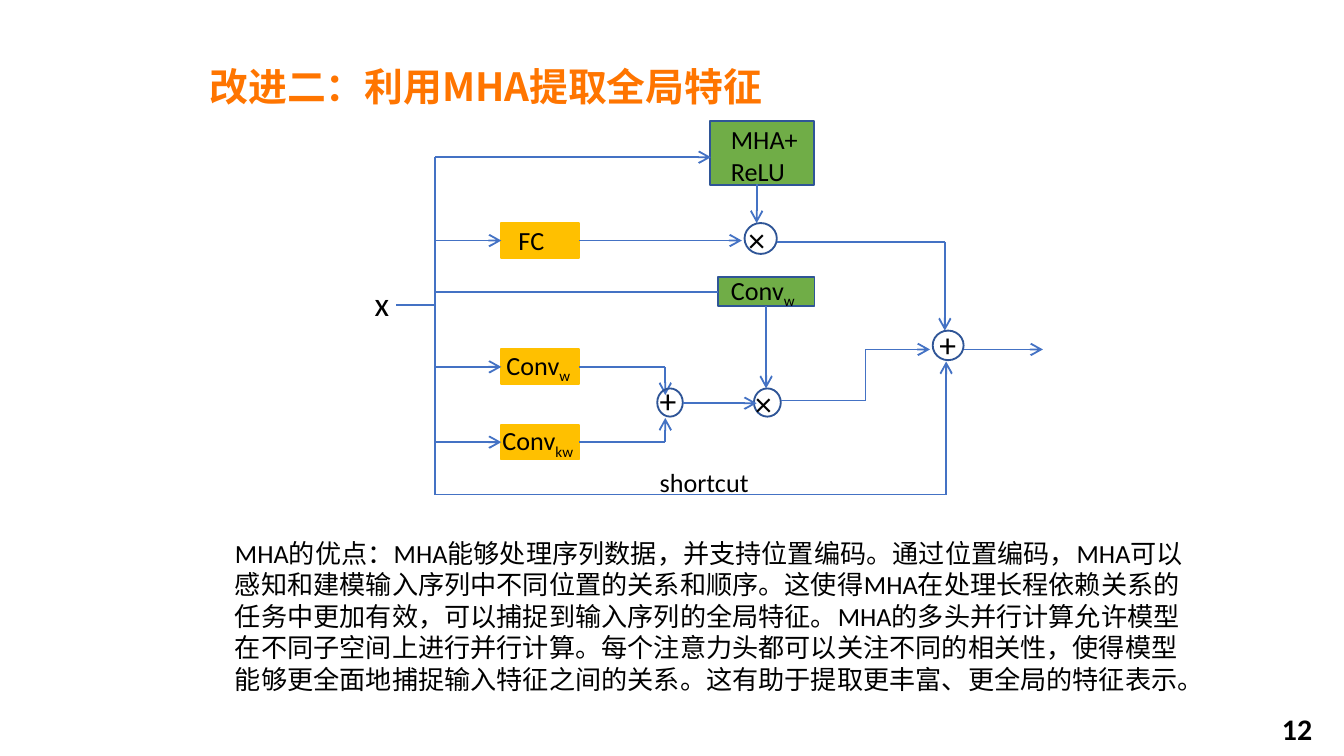
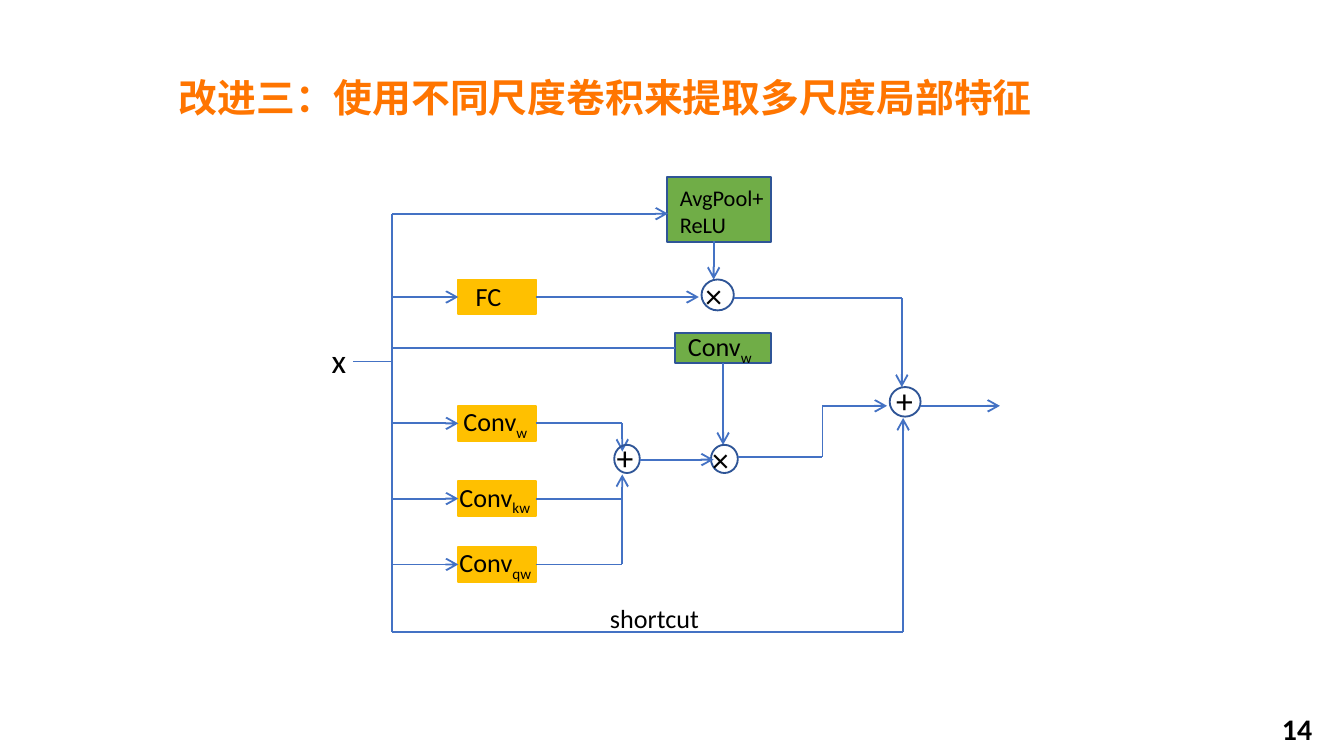
"""Build two slides that show variants of a multi-branch feature block."""
from dataclasses import dataclass

from lxml.etree import SubElement
from pptx import Presentation
from pptx.dml.color import RGBColor
from pptx.enum.shapes import MSO_CONNECTOR, MSO_SHAPE
from pptx.enum.text import MSO_ANCHOR, MSO_AUTO_SIZE, PP_ALIGN
from pptx.oxml.ns import qn
from pptx.util import Inches, Pt


@dataclass(frozen=True)
class Theme:
    title: str = "FF7500"
    text: str = "000000"
    paper: str = "FFFFFF"
    wire: str = "4472C4"
    edge: str = "2F5597"
    orange: str = "FFC000"
    green: str = "70AD47"
    latin: str = "Calibri"
    cjk: str = "Noto Sans CJK SC"
    title_size: float = 20.8
    page_size: float = 16
    symbol_size: float = 18
    text_size: float = 14
    small_size: float = 12
    line_width: float = 1


class Deck:
    def __init__(self, theme):
        self.theme = theme
        self.prs = Presentation()
        self.prs.slide_width = Inches(10)
        self.prs.slide_height = Inches(10) * 9 // 16
        self.s = None
        self.origin = (0, 0)

    def slide(self, title, title_at, page):
        t = self.theme
        self.s = self.prs.slides.add_slide(self.prs.slide_layouts[5])
        self.origin = (0, 0)
        sp = self.s.shapes.title
        sp.left, sp.top, sp.width, sp.height = self.place(*title_at, 8.21, 0.6)
        tf = sp.text_frame
        tf.word_wrap = True
        tf.auto_size = MSO_AUTO_SIZE.NONE
        tf.vertical_anchor = MSO_ANCHOR.MIDDLE
        p = tf.paragraphs[0]
        p.alignment = PP_ALIGN.LEFT
        self.run(p, title, t.title_size, t.title, t.cjk, bold=True)
        self.text(9.44, 5.24, 0.47, 0.32, [[page]], t.page_size, bold=True, grow=False)

    def place(self, x, y, w, h):
        dx, dy = self.origin
        return Inches(x + dx), Inches(y + dy), Inches(w), Inches(h)

    def run(self, p, text, size, color, font, bold=False, subscript=False):
        r = p.add_run()
        r.text = text
        r.font.size = Pt(size)
        r.font.bold = bold
        r.font.name = font
        r.font.color.rgb = RGBColor.from_string(color)
        rPr = r._r.get_or_add_rPr()
        SubElement(rPr, qn("a:ea")).set("typeface", self.theme.cjk)
        if subscript:
            rPr.set("baseline", "-25000")

    def text(self, x, y, w, h, lines, size, bold=False, grow=True):
        tf = self.s.shapes.add_textbox(*self.place(x, y, w, h)).text_frame
        tf.word_wrap = True
        tf.auto_size = MSO_AUTO_SIZE.SHAPE_TO_FIT_TEXT if grow else MSO_AUTO_SIZE.NONE
        for i, runs in enumerate(lines):
            p = tf.add_paragraph() if i else tf.paragraphs[0]
            for j, text in enumerate(runs):
                self.run(p, text, size, self.theme.text, self.theme.latin, bold, subscript=j > 0)

    def shape(self, kind, x, y, w, h, fill, edge):
        sp = self.s.shapes.add_shape(kind, *self.place(x, y, w, h))
        sp.shadow.inherit = False
        if fill:
            sp.fill.solid()
            sp.fill.fore_color.rgb = RGBColor.from_string(fill)
        else:
            sp.fill.background()
        sp.line.color.rgb = RGBColor.from_string(edge)
        sp.line.width = Pt(self.theme.line_width)
        return sp

    def box(self, x, y, w, h, fill, edge):
        return self.shape(MSO_SHAPE.RECTANGLE, x, y, w, h, fill, edge)

    def circle(self, x, y, w, h, fill=None):
        return self.shape(MSO_SHAPE.OVAL, x, y, w, h, fill, self.theme.edge)

    def line(self, start, end, arrow=False, begin_at=None, end_at=None):
        c = self.s.shapes.add_connector(
            MSO_CONNECTOR.STRAIGHT, *self.place(*start, 0, 0)[:2], *self.place(*end, 0, 0)[:2])
        if begin_at:
            c.begin_connect(*begin_at)
        if end_at:
            c.end_connect(*end_at)
        c.line.color.rgb = RGBColor.from_string(self.theme.wire)
        c.line.width = Pt(self.theme.line_width)
        if arrow:
            SubElement(c.line._get_or_add_ln(), qn("a:tailEnd")).set("type", "arrow")
        SubElement(c._element.spPr, qn("a:effectLst"))

    def branch(self, y, label, label_x, label_y, label_w):
        t = self.theme
        sp = self.box(3.73, y, 0.58, 0.26, t.orange, t.orange)
        self.line((3.24, y + 0.13), (3.73, y + 0.13), True, end_at=(sp, 1))
        self.text(label_x, label_y, label_w, 0.34, [label], t.text_size)
        return sp

    def block(self, origin, head, head_at, head_size, convs, bottom, shortcut_at):
        t = self.theme
        self.origin = origin

        self.text(2.69, 2.06, 0.43, 0.4, [["x"]], t.symbol_size)
        self.line((2.95, 2.27), (3.24, 2.27))
        self.line((3.24, 1.17), (3.24, bottom))
        self.line((3.24, bottom), (7.04, bottom))
        self.line((7.04, bottom), (7.04, 2.69), True)
        self.text(*shortcut_at, 1.4, 0.34, [["shortcut"]], t.text_size)

        self.box(5.28, 0.9, 0.78, 0.48, t.green, t.edge)
        self.text(*head_at, 0.97, 0.57, head, head_size)
        self.line((3.24, 1.17), (5.29, 1.17), True)
        self.line((5.63, 1.37), (5.63, 1.66), True)

        fc = self.branch(1.66, ["FC"], 3.76, 1.62, 0.46)
        self.line((4.31, 1.79), (5.52, 1.79), True, begin_at=(fc, 3))
        self.circle(5.54, 1.66, 0.24, 0.23)
        self.text(5.47, 1.58, 0.41, 0.34, [["×"]], t.symbol_size, grow=False)
        self.line((5.78, 1.8), (7.03, 1.8))
        self.line((7.03, 1.8), (7.03, 2.46), True)

        gate = self.box(5.34, 2.06, 0.72, 0.22, t.green, t.edge)
        self.text(5.34, 1.99, 0.78, 0.34, [["Conv", "w"]], t.text_size)
        self.line((3.24, 2.17), (5.34, 2.17), end_at=(gate, 1))
        self.line((5.7, 2.28), (5.7, 2.89), True, begin_at=(gate, 2))

        joint = 2.94
        for i, (kernel, y, label_x, label_w) in enumerate(convs):
            sp = self.branch(y, ["Conv", kernel], label_x, y - 0.05, label_w)
            mid = y + 0.13
            self.line((4.31, mid), (4.95, mid), begin_at=(sp, 3))
            self.line((4.95, mid), (4.95, joint), arrow=i < 2)
            joint = mid if i else 3.11

        self.circle(4.89, 2.89, 0.19, 0.21)
        self.text(4.81, 2.78, 0.29, 0.25, [["+"]], t.symbol_size, grow=False)
        self.circle(5.61, 2.89, 0.2, 0.21, t.paper)
        self.text(5.52, 2.8, 0.35, 0.37, [["×"]], t.symbol_size, grow=False)
        self.line((5.08, 3), (5.63, 3), True)
        self.line((5.81, 2.98), (6.44, 2.98))
        self.line((6.44, 2.98), (6.44, 2.6))
        self.line((6.44, 2.6), (6.92, 2.6), True)

        self.circle(6.94, 2.46, 0.23, 0.22)
        self.text(6.89, 2.36, 0.55, 0.4, [["+"]], t.symbol_size)
        self.line((7.17, 2.6), (7.76, 2.6), True)
        self.origin = (0, 0)


ADVANTAGES = (
    "MHA的优点：MHA能够处理序列数据，并支持位置编码。通过位置编码，MHA可以感知和建模输入序列中"
    "不同位置的关系和顺序。这使得MHA在处理长程依赖关系的任务中更加有效，可以捕捉到输入序列的全局特征。"
    "MHA的多头并行计算允许模型在不同子空间上进行并行计算。每个注意力头都可以关注不同的相关性，"
    "使得模型能够更全面地捕捉输入特征之间的关系。这有助于提取更丰富、更全局的特征表示。"
)
CONVS = [("w", 2.6, 3.67, 0.82), ("kw", 3.16, 3.64, 1.11)]
WIDE_CONV = ("qw", 3.65, 3.64, 0.82)


def main():
    theme = Theme()
    deck = Deck(theme)

    deck.slide("改进二：利用MHA提取全局特征", (1.46, 0.34), "12")
    deck.block((0, 0), [["MHA+"], ["ReLU"]], (5.34, 0.87), theme.text_size,
               CONVS, 3.68, (4.81, 3.42))
    deck.text(1.65, 3.95, 7.25, 1.28, [[ADVANTAGES]], theme.text_size)

    deck.slide("改进三：使用不同尺度卷积来提取多尺度局部特征", (1.23, 0.42), "14")
    deck.block((-0.32, 0.42), [["AvgPool+"], ["ReLU"]], (5.28, 0.9), theme.small_size,
               CONVS + [WIDE_CONV], 4.28, (4.76, 4.01))

    deck.prs.save("out.pptx")


if __name__ == "__main__":
    main()
